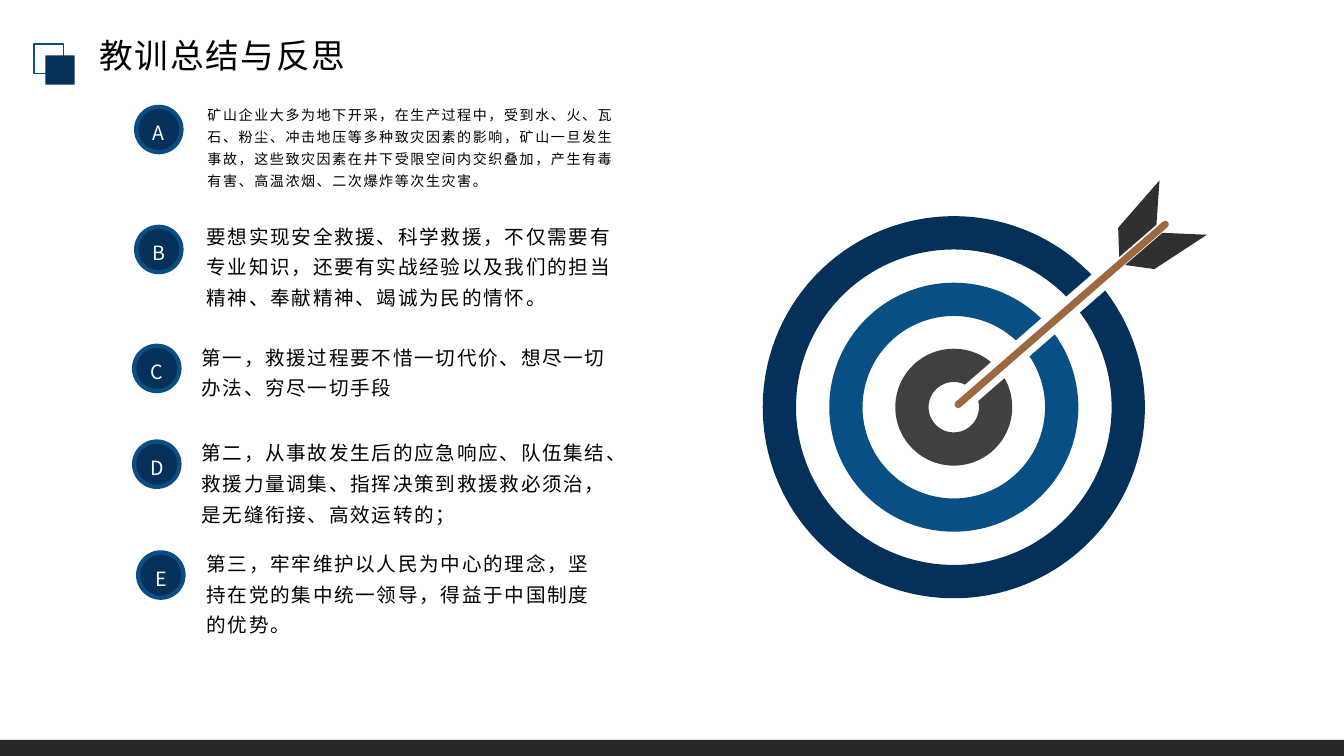
from math import atan2, degrees, hypot

from pptx import Presentation
from pptx.dml.color import RGBColor
from pptx.enum.shapes import MSO_SHAPE as Shape
from pptx.enum.text import MSO_ANCHOR as Anchor, MSO_AUTO_SIZE as AutoSize, PP_ALIGN as Align
from pptx.oxml.ns import qn
from pptx.util import Pt

EMU_PER_PX = 9144
WIDTH, HEIGHT = 1333, 750
FONT = "Noto Sans CJK SC"
NAVY, BLUE, GRAY = "043059", "084F85", "404040"
FEATHER, WOOD, FOOTER = "303030", "9C6741", "262626"
BLACK, WHITE = "000000", "FFFFFF"

TITLE = "教训总结与反思"
LESSONS = [
    ("A", (135, 106), (196, 96, 436, 97), 10,
     "矿山企业大多为地下开采，在生产过程中，受到水、火、瓦石、粉尘、冲击地压等多种致灾因素的影响，"
     "矿山一旦发生事故，这些致灾因素在井下受限空间内交织叠加，产生有毒有害、高温浓烟、二次爆炸等次生灾害。"),
    ("B", (135, 225), (195, 211, 436, 102), 14,
     "要想实现安全救援、科学救援，不仅需要有专业知识，还要有实战经验以及我们的担当精神、奉献精神、竭诚为民的情怀。"),
    ("C", (133, 343), (190, 331, 436, 71), 14,
     "第一，救援过程要不惜一切代价、想尽一切办法、穷尽一切手段"),
    ("D", (133, 438), (190, 426, 436, 102), 14,
     "第二，从事故发生后的应急响应、队伍集结、救援力量调集、指挥决策到救援救必须治，是无缝衔接、高效运转的；"),
    ("E", (137, 548), (195, 536, 418, 102), 14,
     "第三，牢牢维护以人民为中心的理念，坚持在党的集中统一领导，得益于中国制度的优势。"),
]
BADGE_SIZE = 45

TARGET_CENTER = (946, 404)
RINGS = [(379, NAVY), (247, BLUE), (116, GRAY)]
RING_WIDTH = 33
ARROW_TIP, ARROW_TAIL = (945, 406), (1161, 218)
SHAFT_WIDTH = 14
FEATHERS = [
    [(1116, 263), (1145, 267), (1197, 233), (1153, 231)],
    [(1110, 255), (1109, 226), (1150, 179), (1147, 223)],
]


def px(value):
    return round(value * EMU_PER_PX)


def color(value):
    return RGBColor.from_string(value)


def paint(shape, fill=None, line=None, line_width=0):
    shape.shadow.inherit = False
    if fill:
        shape.fill.solid()
        shape.fill.fore_color.rgb = color(fill)
    else:
        shape.fill.background()
    if line:
        shape.line.color.rgb = color(line)
        shape.line.width = Pt(line_width)
    else:
        shape.line.fill.background()


def add_shape(slide, kind, box, **style):
    shape = slide.shapes.add_shape(kind, *map(px, box))
    paint(shape, **style)
    return shape


def write(shape, text, size, ink, spacing, align=Align.LEFT, leading=None, anchor=Anchor.TOP):
    frame = shape.text_frame
    frame.text = text
    frame.word_wrap = True
    frame.auto_size = AutoSize.NONE
    frame.vertical_anchor = anchor
    paragraph = frame.paragraphs[0]
    paragraph.alignment = align
    if leading:
        paragraph.line_spacing = leading
    run = paragraph.runs[0]
    run.font.size = Pt(size)
    run.font.name = FONT
    run.font.color.rgb = color(ink)
    properties = run.font._element
    properties.set("spc", str(round(spacing * 100)))
    east_asian = properties.makeelement(qn("a:ea"), {"typeface": FONT})
    properties.find(qn("a:latin")).addnext(east_asian)


def add_heading(slide):
    title = slide.shapes.title
    title.left, title.top, title.width, title.height = map(px, (74, 30, 293, 50))
    write(title, TITLE, 24, BLACK, 1.3, Align.CENTER, anchor=Anchor.MIDDLE)
    add_shape(slide, Shape.RECTANGLE, (34, 44, 29, 29), line=BLUE, line_width=1.25)
    add_shape(slide, Shape.RECTANGLE, (45, 55, 29, 29), fill=NAVY)


def add_target(slide):
    center_x, center_y = TARGET_CENTER
    for size, fill in RINGS:
        box = (center_x - size / 2, center_y - size / 2, size, size)
        ring = add_shape(slide, Shape.DONUT, box, fill=fill)
        ring.adjustments[0] = RING_WIDTH / size


def add_arrow(slide):
    (x1, y1), (x2, y2) = ARROW_TIP, ARROW_TAIL
    length = hypot(x2 - x1, y2 - y1)
    box = ((x1 + x2 - length) / 2, (y1 + y2 - SHAFT_WIDTH) / 2, length, SHAFT_WIDTH)
    shaft = add_shape(slide, Shape.ROUNDED_RECTANGLE, box, fill=WOOD, line=WHITE, line_width=4.75)
    shaft.adjustments[0] = 0.5
    shaft.rotation = degrees(atan2(y2 - y1, x2 - x1))
    for start, *corners in FEATHERS:
        builder = slide.shapes.build_freeform(*start, scale=EMU_PER_PX)
        builder.add_line_segments(corners, close=True)
        paint(builder.convert_to_shape(), fill=FEATHER)


def add_lesson(slide, letter, badge_at, text_box, size, text):
    lesson = slide.shapes.add_textbox(*map(px, text_box))
    write(lesson, text, size, BLACK, 1.2, leading=1.3)
    badge = add_shape(slide, Shape.OVAL, (*badge_at, BADGE_SIZE, BADGE_SIZE),
                      fill=NAVY, line=BLUE, line_width=3)
    frame = badge.text_frame
    frame.margin_left = frame.margin_right = frame.margin_top = frame.margin_bottom = 0
    write(badge, letter, 14, WHITE, 1.2, Align.CENTER, 1.3, Anchor.MIDDLE)


def main():
    presentation = Presentation()
    presentation.slide_width, presentation.slide_height = px(WIDTH), px(HEIGHT)
    slide = presentation.slides.add_slide(presentation.slide_layouts.get_by_name("Title Only"))
    add_heading(slide)
    add_target(slide)
    add_arrow(slide)
    for lesson in LESSONS:
        add_lesson(slide, *lesson)
    add_shape(slide, Shape.RECTANGLE, (0, 734, WIDTH, 16), fill=FOOTER)
    presentation.save("out.pptx")


if __name__ == "__main__":
    main()
